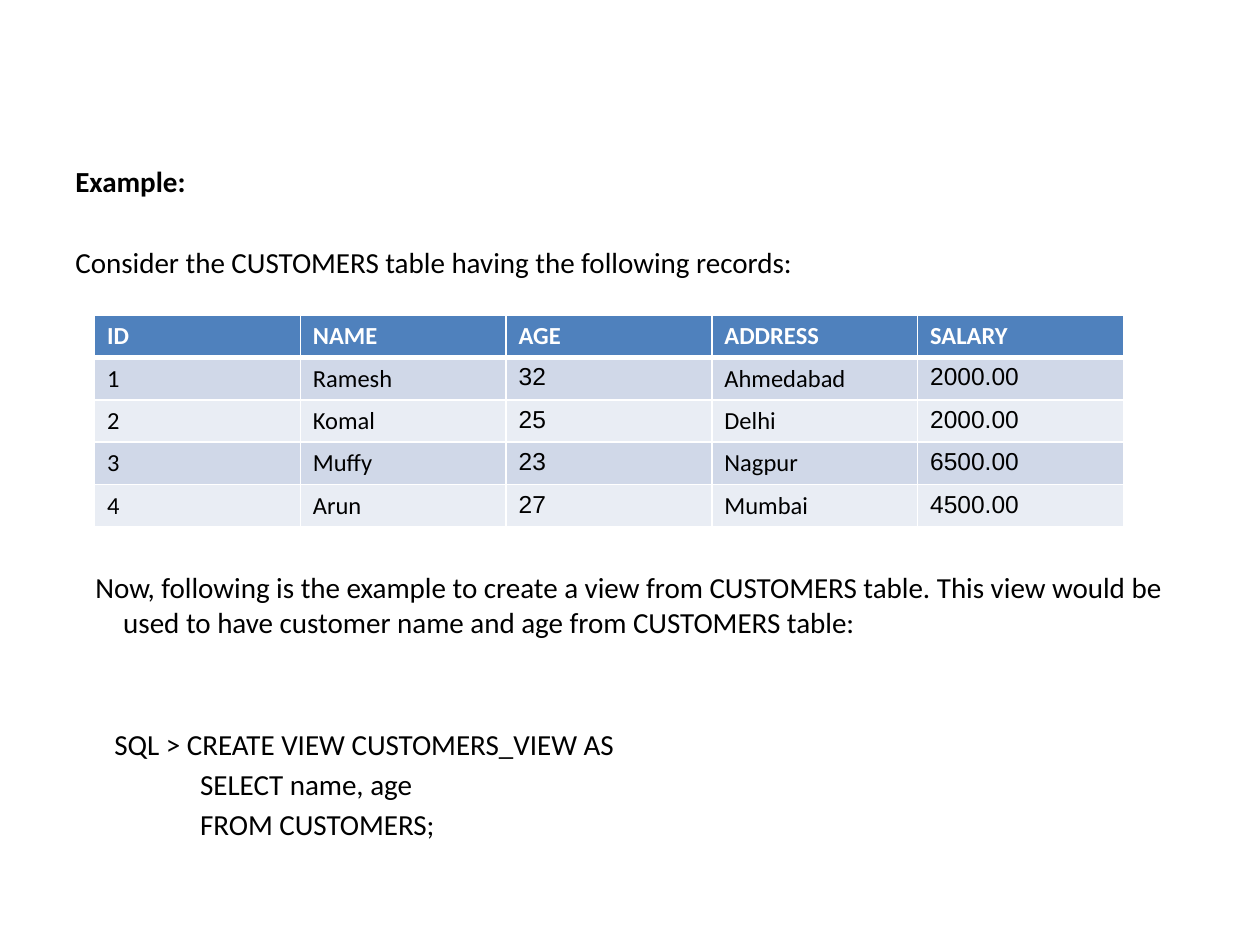
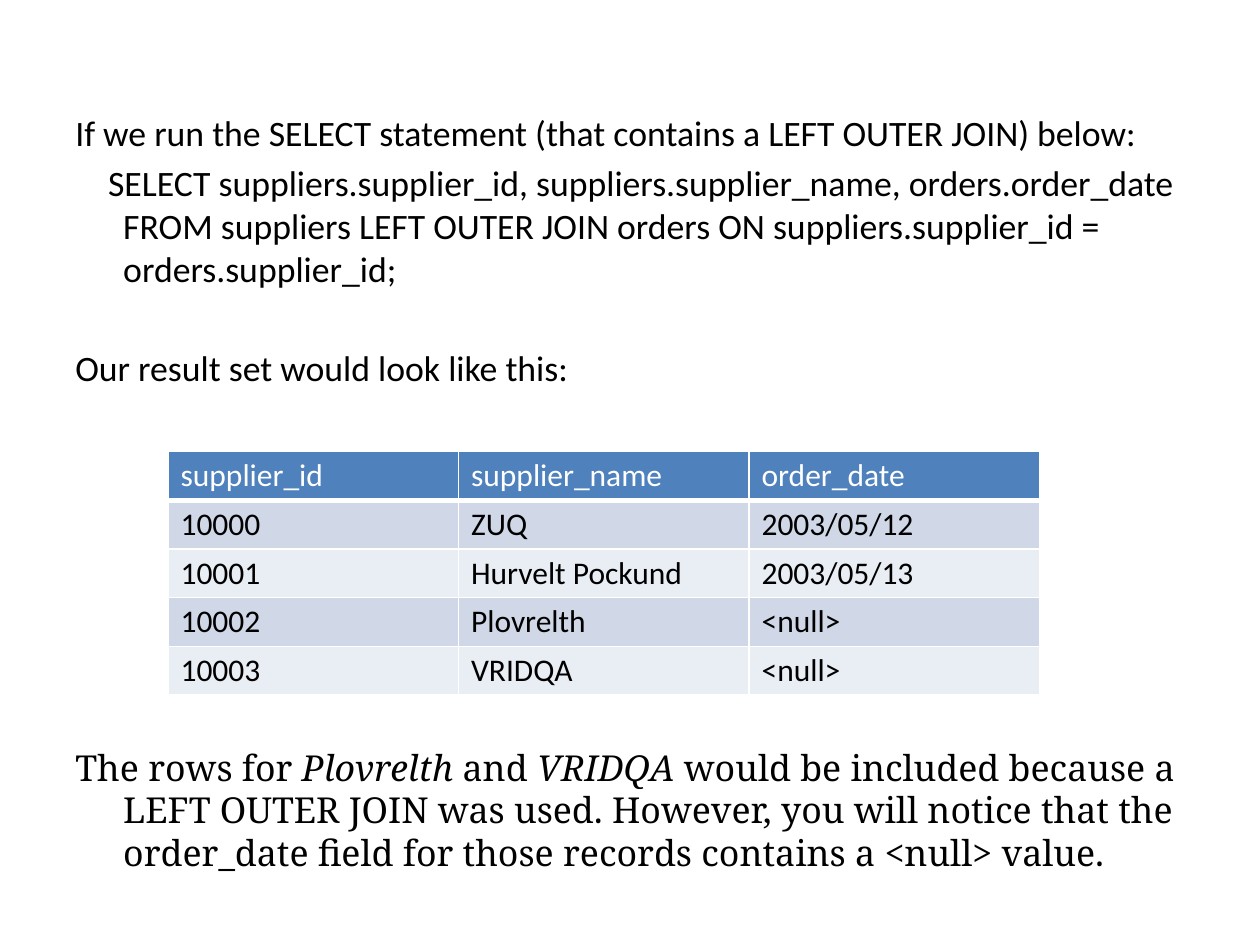
from dataclasses import dataclass

from lxml.etree import SubElement
from pptx import Presentation
from pptx.dml.color import RGBColor
from pptx.enum.text import MSO_ANCHOR
from pptx.oxml.ns import qn
from pptx.util import Inches, Pt

COLOURS = {
    "text": "000000",
    "header": "4F81BD",
    "header_text": "FFFFFF",
    "band_dark": "D0D8E8",
    "band_light": "E9EDF4",
    "rule": "FFFFFF",
}
BODY_FONT, FIGURE_FONT, NOTE_FONT = "Calibri", "Arial", "Noto Serif"
COLUMNS, ROWS = 120, 90  # slide grid
HANG = 0.38  # left margin of wrapped lines, inches
GAP, PITCH = 0.19, 1.4  # paragraph gap and line step, as shares of text size

deck = Presentation()
deck.slide_width, deck.slide_height = Inches(10), Inches(7.5)


def colour(name):
    return RGBColor.from_string(COLOURS[name])


def grid_box(left, top, width, height):
    """Turn grid columns and rows into slide lengths."""
    column, row = deck.slide_width / COLUMNS, deck.slide_height / ROWS
    return [int(n) for n in (left * column, top * row, width * column, height * row)]


@dataclass
class Line:
    spans: list  # every second span is italic
    start: float = 0  # where the first line begins, inches
    skip: int = 0  # lines left free above
    font: str = BODY_FONT
    bold: bool = False
    leading: float = 0  # fixed line height, points


def add_body(page, box, lines, size, top_inset):
    frame = page.shapes.add_textbox(*box).text_frame
    frame.word_wrap = True
    frame.margin_top = Inches(top_inset)
    for index, line in enumerate(lines):
        para = frame.paragraphs[0] if index == 0 else frame.add_paragraph()
        properties = para._p.get_or_add_pPr()
        properties.set("marL", str(Inches(HANG)))
        properties.set("indent", str(Inches(line.start - HANG)))
        if index:
            para.space_before = Pt(size * (GAP + PITCH * line.skip))
        if line.leading:
            para.line_spacing = Pt(line.leading)
        para.font.name, para.font.size = line.font, Pt(size)
        para.font.bold, para.font.color.rgb = line.bold, colour("text")
        for number, text in enumerate(line.spans):
            span = para.add_run()
            span.text = text
            if number % 2:
                span.font.italic = True


def set_borders(cell, is_header):
    properties = cell._tc.get_or_add_tcPr()
    for side in ("lnL", "lnR", "lnT", "lnB"):
        width = 3 if is_header and side == "lnB" else 1
        edge = SubElement(properties, qn(f"a:{side}"), w=str(Pt(width)))
        fill = SubElement(edge, qn("a:solidFill"))
        SubElement(fill, qn("a:srgbClr"), val=COLOURS["rule"])


def add_records(page, box, records, size, bold_header=False,
                figure_columns=(), anchor=MSO_ANCHOR.TOP, margin=0.05):
    table = page.shapes.add_table(len(records), len(records[0]), *box).table
    for r, record in enumerate(records):
        is_header = r == 0
        fill = "header" if is_header else ("band_light", "band_dark")[r % 2]
        for c, text in enumerate(record):
            cell = table.cell(r, c)
            set_borders(cell, is_header)
            cell.fill.solid()
            cell.fill.fore_color.rgb = colour(fill)
            cell.vertical_anchor = anchor
            cell.margin_top = cell.margin_bottom = Inches(margin)
            cell.text = text
            font = cell.text_frame.paragraphs[0].font
            is_figure = c in figure_columns and not is_header
            font.name = FIGURE_FONT if is_figure else BODY_FONT
            font.size, font.bold = Pt(size), is_header and bold_header
            font.color.rgb = colour("header_text" if is_header else "text")


def add_page():
    return deck.slides.add_slide(deck.slide_layouts[6])


# Slide 1: creating a view
page = add_page()
add_body(page, grid_box(6, 11, 108, 75.2), [
    Line(["Example:"], bold=True),
    Line(["Consider the CUSTOMERS table having the following records:"], skip=1),
    Line(["Now, following is the example to create a view from CUSTOMERS table. "
          "This view would be used to have customer name and age from "
          "CUSTOMERS table:"], start=0.16, skip=7),
    Line(["SQL > CREATE VIEW CUSTOMERS_VIEW AS"], start=0.31, skip=2),
    Line(["SELECT name, age"], start=0.99),
    Line(["FROM CUSTOMERS;"], start=0.99),
], size=16.6, top_inset=0.38)
add_records(page, grid_box(9, 30, 98, 20.2), [
    ("ID", "NAME", "AGE", "ADDRESS", "SALARY"),
    ("1", "Ramesh", "32", "Ahmedabad", "2000.00"),
    ("2", "Komal", "25", "Delhi", "2000.00"),
    ("3", "Muffy", "23", "Nagpur", "6500.00"),
    ("4", "Arun", "27", "Mumbai", "4500.00"),
], size=14, bold_header=True, figure_columns=(2, 4))

# Slide 2: left outer join
page = add_page()
add_body(page, grid_box(6, 10, 108, 76.3), [
    Line(["If we run the SELECT statement (that contains a LEFT OUTER JOIN) below:"]),
    Line(["SELECT suppliers.supplier_id, suppliers.supplier_name, orders.order_date "
          "FROM suppliers LEFT OUTER JOIN orders ON suppliers.supplier_id = "
          "orders.supplier_id;"], start=0.26),
    Line(["Our result set would look like this:"], skip=1),
    Line(["The rows for\u00a0", "Plovrelth", "\u00a0and\u00a0", "VRIDQA",
          "\u00a0would be included because a LEFT OUTER JOIN was used. However, "
          "you will notice that the order_date field for those records contains "
          "a <null> value."], skip=7, font=NOTE_FONT, leading=24.3),
], size=20.4, top_inset=0.05)
add_records(page, grid_box(16, 43, 83, 23.2), [
    ("supplier_id", "supplier_name", "order_date"),
    ("10000", "ZUQ", "2003/05/12"),
    ("10001", "Hurvelt Pockund", "2003/05/13"),
    ("10002", "Plovrelth", "<null>"),
    ("10003", "VRIDQA", "<null>"),
], size=18, anchor=MSO_ANCHOR.MIDDLE, margin=0.04)

deck.save("out.pptx")
